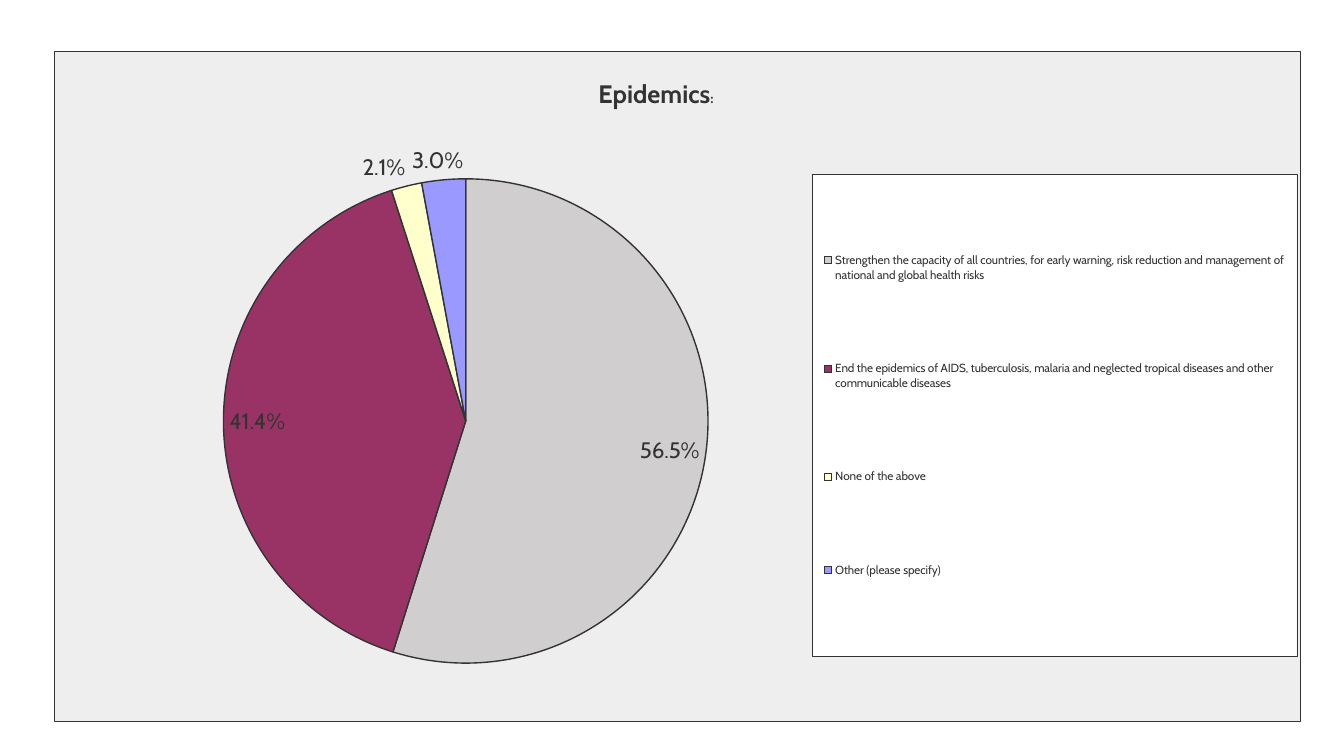
from pptx import Presentation
from pptx.chart.data import CategoryChartData
from pptx.dml.color import RGBColor
from pptx.enum.chart import XL_CHART_TYPE, XL_LABEL_POSITION, XL_LEGEND_POSITION
from pptx.oxml import parse_xml
from pptx.oxml.ns import nsdecls
from pptx.util import Inches, Pt

THEME = {
    "font": "Cabin",
    "ink": "333333",
    "panel": "EEEEEE",
    "legend_fill": "FFFFFF",
    "hairline": 0.25,
    "outline": 1,
    "base": {"size": Pt(10)},
    "title": {"size": Pt(18), "bold": True},
    "title_colon": {"size": Pt(10), "bold": True},
    "legend": {"size": Pt(8.4), "bold": False},
    "label": {"size": Pt(16), "bold": False},
}

# Wording, share, colour, label position, label offset
INSIDE, OUTSIDE = XL_LABEL_POSITION.INSIDE_END, XL_LABEL_POSITION.OUTSIDE_END
ANSWERS = [
    ("Strengthen the capacity of all countries, for early warning, risk reduction "
     "and management of national and global health risks",
     0.565, "D0CECE", INSIDE, (0, 0.01)),
    ("End the epidemics of AIDS, tuberculosis, malaria and neglected tropical "
     "diseases and other communicable diseases", 0.414, "993366", INSIDE, None),
    ("None of the above", 0.021, "FFFFCC", OUTSIDE, None),
    ("Other (please specify)", 0.03, "9999FF", OUTSIDE, (0.016, 0)),
]


def style_font(font, role):
    for attribute, value in {"name": THEME["font"], **THEME[role]}.items():
        setattr(font, attribute, value)
    font.color.rgb = RGBColor.from_string(THEME["ink"])


def place(part, index, x, y, size=None, target="", mode="edge"):
    """Set a manual layout, in fractions of the chart."""
    for old in part.xpath("c:layout"):
        part.remove(old)
    values = {"xMode": mode, "yMode": mode, "x": x, "y": y}
    if size:
        values.update(w=size[0], h=size[1])
    entries = "".join(f'<c:{tag} val="{value}"/>' for tag, value in values.items())
    part.insert(index, parse_xml(
        f'<c:layout {nsdecls("c")}><c:manualLayout>{target}{entries}'
        "</c:manualLayout></c:layout>"))


prs = Presentation()
prs.slide_width, prs.slide_height = Inches(13.33), Inches(7.5)
slide = prs.slides.add_slide(prs.slide_layouts[6])

# Pie of survey answers
survey = CategoryChartData(number_format="0.0%")
survey.categories = [answer[0] for answer in ANSWERS]
survey.add_series("Series 1", [answer[1] for answer in ANSWERS])
epidemics = slide.shapes.add_chart(
    XL_CHART_TYPE.PIE, Inches(0.54), Inches(0.51), Inches(12.36), Inches(6.65), survey
).chart
style_font(epidemics.font, "base")
space = epidemics.element
pie = epidemics.plots[0]
pie.vary_by_categories = True

# Labels for all slices
pie.has_data_labels = True
labels = pie.data_labels
labels.show_value = True
labels.show_percentage = False
labels.number_format = "0.0%"
labels.number_format_is_linked = False
style_font(labels.font, "label")

# Slice colours and label positions
for index, (_, _, colour, position, offset) in enumerate(ANSWERS):
    pie_slice = pie.series[0].points[index]
    pie_slice.format.fill.solid()
    pie_slice.format.fill.fore_color.rgb = RGBColor.from_string(colour)
    pie_slice.format.line.color.rgb = RGBColor.from_string(THEME["ink"])
    pie_slice.format.line.width = Pt(THEME["outline"])
    style_font(pie_slice.data_label.font, "label")
    pie_slice.data_label.position = position
    if offset:
        slice_label = space.xpath(f".//c:ser/c:dLbls/c:dLbl[c:idx/@val='{index}']")[0]
        place(slice_label, 1, *offset, mode="factor")
for leader_lines in space.xpath(".//c:showLeaderLines"):
    leader_lines.set("val", "0")

# Title with a smaller colon
epidemics.has_title = True
heading = epidemics.chart_title.text_frame.paragraphs[0]
for text, role in [("Epidemics", "title"), (":", "title_colon")]:
    run = heading.add_run()
    run.text = text
    style_font(run.font, role)

# Legend
epidemics.has_legend = True
epidemics.legend.position = XL_LEGEND_POSITION.RIGHT
epidemics.legend.include_in_layout = False
style_font(epidemics.legend.font, "legend")

# Positions of title, pie and legend
chart_body = space.xpath("c:chart")[0]
plot_area = chart_body.xpath("c:plotArea")[0]
legend_box = chart_body.xpath("c:legend")[0]
place(chart_body.xpath("c:title")[0], 1, 0.434, 0.034)
place(plot_area, 0, 0.093, 0.19, (0.474, 0.723), '<c:layoutTarget val="inner"/>')
place(legend_box, 1, 0.608, 0.183, (0.389, 0.72))

# Panel, plot and legend backgrounds
chart_body.addprevious(parse_xml(f'<c:roundedCorners {nsdecls("c")} val="0"/>'))
border = (f'<a:ln w="{Pt(THEME["hairline"])}"><a:solidFill>'
          f'<a:srgbClr val="{THEME["ink"]}"/></a:solidFill></a:ln>')
no_border = "<a:ln><a:noFill/></a:ln>"
for previous, fill, line in [
    (chart_body, "panel", border),
    (plot_area[-1], "panel", no_border),
    (legend_box.xpath("c:overlay")[0], "legend_fill", border),
]:
    previous.addnext(parse_xml(
        f'<c:spPr {nsdecls("c", "a")}><a:solidFill><a:srgbClr val="{THEME[fill]}"/>'
        f"</a:solidFill>{line}</c:spPr>"))

prs.save("out.pptx")
